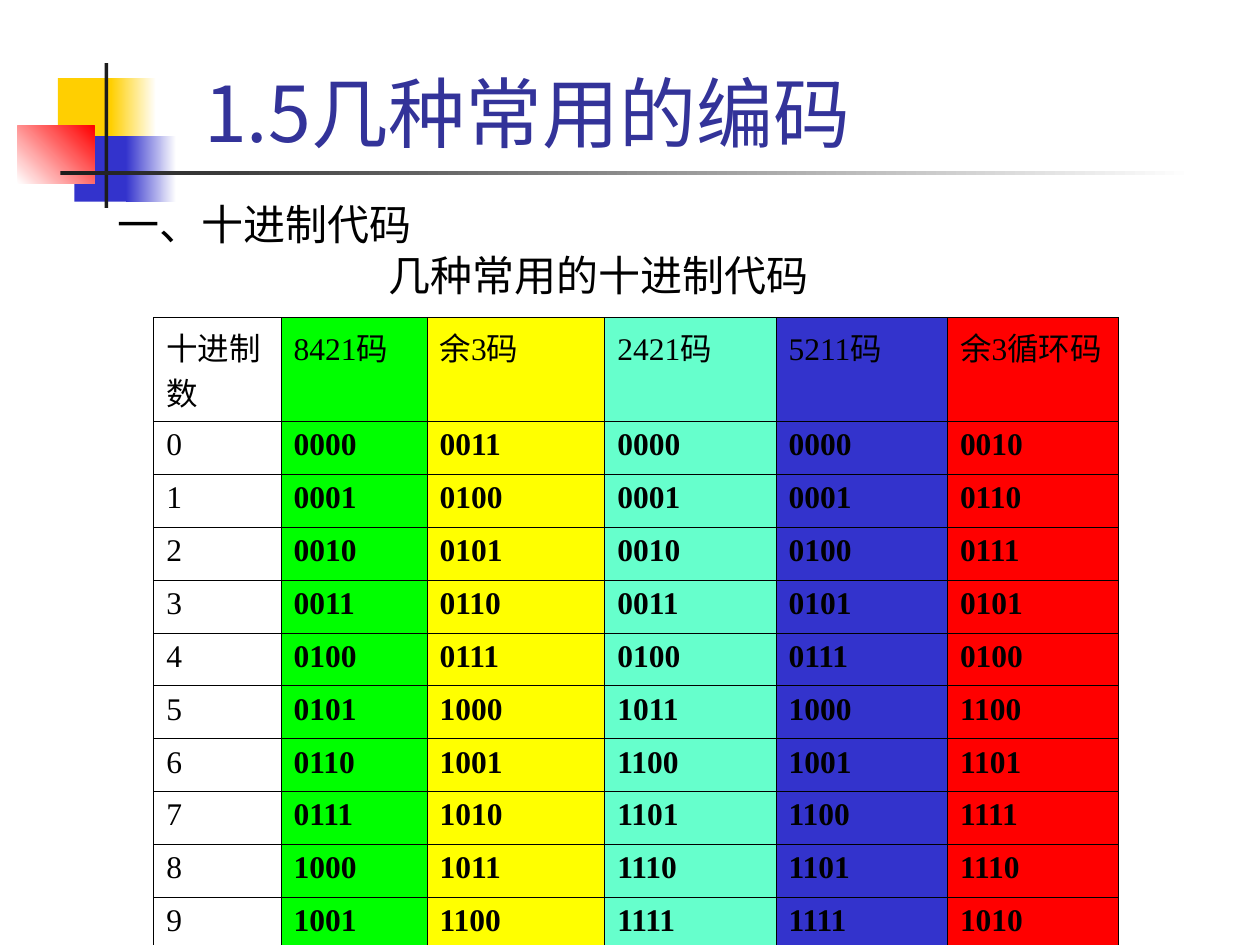
"""Builds a slide with a table of common decimal codes."""
import pptx
import pptx.dml.color
import pptx.enum.shapes
import pptx.enum.text
import pptx.oxml
import pptx.oxml.ns
import pptx.util
from pptx.util import Inches

RGBColor = pptx.dml.color.RGBColor
BLACK = RGBColor(0x00, 0x00, 0x00)
WHITE = RGBColor(0xFF, 0xFF, 0xFF)
CHARCOAL = RGBColor(0x1C, 0x1C, 0x1C)
GOLD = RGBColor(0xFF, 0xCF, 0x01)
BLUE = RGBColor(0x33, 0x33, 0xCC)
NAVY = RGBColor(0x33, 0x33, 0x99)
RED = RGBColor(0xFF, 0x00, 0x00)
GREEN = RGBColor(0x00, 0xFF, 0x00)
YELLOW = RGBColor(0xFF, 0xFF, 0x00)
MINT = RGBColor(0x66, 0xFF, 0xCC)


def format_text(para, text, **font_values):
    span = para.add_run()
    span.text = text
    color = font_values.pop("color")
    for name, value in font_values.items():
        setattr(span.font, name, value)
    span.font.color.rgb = color


def add_borders(cell):
    properties = cell._tc.get_or_add_tcPr()
    for side in ("lnL", "lnR", "lnT", "lnB"):
        properties.append(pptx.oxml.parse_xml(
            f'<a:{side} {pptx.oxml.ns.nsdecls("a")} w="{pptx.util.Pt(0.45)}">'
            f'<a:solidFill><a:srgbClr val="{BLACK}"/></a:solidFill></a:{side}>'))


deck = pptx.Presentation()
deck.slide_width, deck.slide_height = Inches(10), Inches(7.5)
page = deck.slides.add_slide(deck.slide_layouts[1])
title = page.shapes.title
body = page.placeholders[1]

ornaments = [
    ((0.46, 0.62, 0.48, 0.52), (GOLD,), 0),
    ((0.88, 0.62, 0.36, 0.52), (GOLD, WHITE), 0),
    ((0.59, 1.08, 0.46, 0.52), (BLUE,), 0),
    ((1, 1.08, 0.4, 0.52), (BLUE, WHITE), 0),
    ((0.14, 1, 0.61, 0.46), (WHITE, RED), 45),
    ((0.83, 0.5, 0.03, 1.15), (CHARCOAL,), 0),
    ((0.48, 1.36, 9, 0.03), (CHARCOAL, WHITE), 0),
]
for place, colors, angle in ornaments:
    ornament = page.shapes.add_shape(
        pptx.enum.shapes.MSO_SHAPE.RECTANGLE, *map(Inches, place))
    ornament.shadow.inherit = False
    ornament.line.fill.background()
    if len(colors) == 1:
        ornament.fill.solid()
        ornament.fill.fore_color.rgb = colors[0]
    else:
        ornament.fill.gradient()
        ornament.fill.gradient_angle = angle
        for stop, color in zip(ornament.fill.gradient_stops, colors):
            stop.color.rgb = color
    title._element.addprevious(ornament._element)

placeholders = [
    (title, (1.52, 0.05, 8.52, 1.25), pptx.enum.text.MSO_ANCHOR.BOTTOM),
    (body, (0.83, 1.57, 8.9, 4.57), pptx.enum.text.MSO_ANCHOR.TOP),
]
for box, place, anchor in placeholders:
    box.left, box.top, box.width, box.height = map(Inches, place)
    frame_format = {
        "word_wrap": True,
        "auto_size": pptx.enum.text.MSO_AUTO_SIZE.NONE,
        "vertical_anchor": anchor,
    }
    for name, value in frame_format.items():
        setattr(box.text_frame, name, value)

heading = title.text_frame.paragraphs[0]
heading.alignment = pptx.enum.text.PP_ALIGN.LEFT
format_text(heading, "1.5几种常用的编码", name="Noto Sans CJK JP",
            size=pptx.util.Pt(44), color=NAVY)

body_lines = [("一、十进制代码", 0.38, -0.38, 0), ("几种常用的十进制代码", 2.15, 0, 3.5)]
for index, (text, margin, indent, space) in enumerate(body_lines):
    para = body.text_frame.add_paragraph() if index else body.text_frame.paragraphs[0]
    properties = para._p.get_or_add_pPr()
    properties.set("marL", str(Inches(margin)))
    properties.set("indent", str(Inches(indent)))
    properties.append(pptx.oxml.parse_xml(f'<a:buNone {pptx.oxml.ns.nsdecls("a")}/>'))
    para.line_spacing = 0.9
    para.space_before = pptx.util.Pt(space)
    format_text(para, text, name="Roboto", size=pptx.util.Pt(24), color=BLACK)

columns = [
    ("十进制数", 1.01, None, "0 1 2 3 4 5 6 7 8 9"),
    ("8421码", 1.16, GREEN, "0000 0001 0010 0011 0100 0101 0110 0111 1000 1001"),
    ("余3码", 1.41, YELLOW, "0011 0100 0101 0110 0111 1000 1001 1010 1011 1100"),
    ("2421码", 1.36, MINT, "0000 0001 0010 0011 0100 1011 1100 1101 1110 1111"),
    ("5211码", 1.36, BLUE, "0000 0001 0100 0101 0111 1000 1001 1100 1101 1111"),
    ("余3循环码", 1.36, RED, "0010 0110 0111 0101 0100 1100 1101 1111 1110 1010"),
]
table = page.shapes.add_table(
    11, len(columns), Inches(1.22), Inches(2.52), Inches(7.66), Inches(4.98)).table
table.first_row = table.horz_banding = False
for index, row in enumerate(table.rows):
    row.height = Inches(0.42 if index else 0.82)
for column_index, (header, width, fill, codes) in enumerate(columns):
    table.columns[column_index].width = Inches(width)
    for row_index, text in enumerate([header, *codes.split()]):
        cell = table.cell(row_index, column_index)
        add_borders(cell)
        if fill is None:
            cell.fill.background()
        else:
            cell.fill.solid()
            cell.fill.fore_color.rgb = fill
        format_text(cell.text_frame.paragraphs[0], text, name="Times New Roman",
                    size=pptx.util.Pt(18), bold=row_index > 0 and column_index > 0,
                    color=BLACK)

deck.save("out.pptx")
